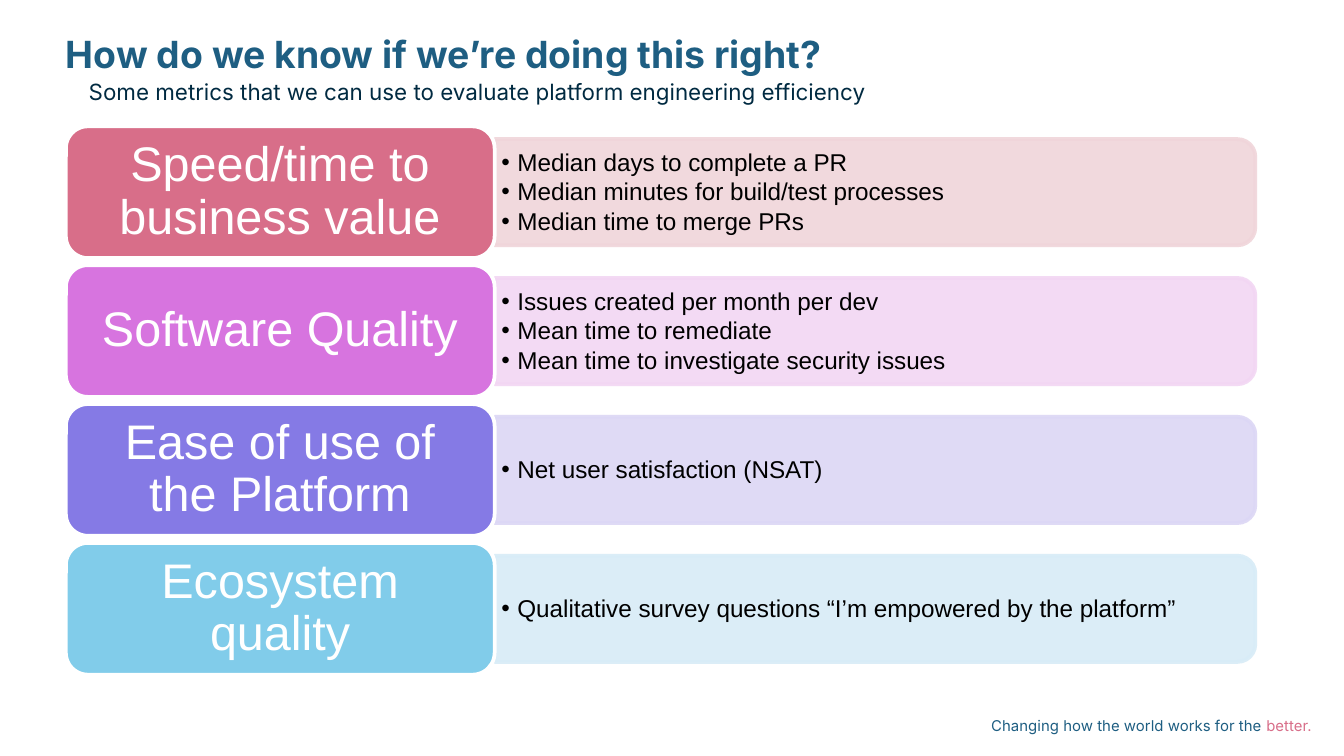
"""Build a slide of four platform engineering measures with their metrics."""
from lxml.etree import SubElement as Sub
from pptx import Presentation as Deck
from pptx.dml.color import RGBColor as Rgb
from pptx.enum.shapes import MSO_SHAPE as Form
from pptx.enum.text import MSO_ANCHOR as Anchor, MSO_AUTO_SIZE as Auto, PP_ALIGN as Align
from pptx.oxml.ns import qn
from pptx.util import Inches, Pt

TITLE = "How do we know if we’re doing this right?"
LEAD = "Some metrics that we can use to evaluate platform engineering efficiency"
MOTTO = [("Changing how the world works for the ", "blue"), ("better.", "rose")]
ROWS = [
    ("Speed/time to business value", "rose", "blush",
     ["Median days to complete a PR", "Median minutes for build/test processes",
      "Median time to merge PRs"]),
    ("Software Quality", "orchid", "pink",
     ["Issues created per month per dev", "Mean time to remediate",
      "Mean time to investigate security issues"]),
    ("Ease of use of the Platform", "violet", "lilac",
     ["Net user satisfaction (NSAT)"]),
    ("Ecosystem quality", "sky", "ice",
     ["Qualitative survey questions “I’m empowered by the platform”"]),
]
COLORS = {
    "blue": "1E5E82", "navy": "002A41", "black": "000000", "white": "FFFFFF",
    "rose": "D86E89", "orchid": "D774DF", "violet": "857AE5", "sky": "81CCEA",
    "blush": "F0D5DA", "pink": "F2D6F3", "lilac": "DCD7F5", "ice": "D8ECF7",
}
FONTS = {
    "title": {"name": "Inter", "size": Pt(20), "bold": True},
    "lead": {"name": "Inter", "size": Pt(12), "bold": False},
    "motto": {"name": "Inter", "size": Pt(8)},
    "label": {"name": "Arial", "size": Pt(26)},
    "list": {"name": "Arial", "size": Pt(13)},
}
LEFT, TOP, LAST = 0.49, 0.94, 4.04
STEP = (LAST - TOP) / (len(ROWS) - 1)
WIDE, HIGH = 3.19, 0.98
SPAN, DEEP = 5.66, 0.79


def apply(item, values):
    for name, value in values.items():
        setattr(item, name, value)


def rgb(name):
    return Rgb.from_string(COLORS[name])


def place(shape, *box):
    apply(shape, dict(zip(("left", "top", "width", "height"), map(Inches, box))))


def frame(shape, side=0, edge=0, anchor=Anchor.TOP):
    text = shape.text_frame
    apply(text, {"word_wrap": True, "auto_size": Auto.NONE, "vertical_anchor": anchor,
                 "margin_left": Inches(side), "margin_right": Inches(side),
                 "margin_top": Inches(edge), "margin_bottom": Inches(edge)})
    return text


def write(para, runs, font, align=Align.LEFT, after=0, space=0.9):
    apply(para, {"alignment": align, "line_spacing": space,
                 "space_before": Pt(0), "space_after": Pt(after)})
    for words, color in runs:
        run = para.add_run()
        run.text = words
        apply(run.font, FONTS[font])
        run.font.color.rgb = rgb(color)


def indent(para, left, first):
    props = para._p.get_or_add_pPr()
    props.set("marL", str(Inches(left)))
    props.set("indent", str(Inches(first)))
    return props


def block(form, box, fill, line):
    shape = slide.shapes.add_shape(form, *map(Inches, box))
    shape.shadow.inherit = False
    shape.fill.solid()
    shape.fill.fore_color.rgb = rgb(fill)
    shape.line.color.rgb = rgb(line)
    shape.line.width = Pt(2)
    return shape


def panel(mid, color):
    left = LEFT + WIDE + (SPAN - DEEP) / 2
    shape = block(Form.ROUND_2_SAME_RECTANGLE, (left, mid - SPAN / 2, DEEP, SPAN), color, color)
    shape.rotation = 90
    for tone in shape._element.spPr.iter(qn("a:srgbClr")):
        Sub(tone, qn("a:alpha"), val="90000")


def bullets(mid, items):
    box = (LEFT + WIDE, mid - 0.35, 5.62, 0.71)
    text = frame(slide.shapes.add_textbox(*map(Inches, box)), 0.05, 0.03, Anchor.MIDDLE)
    for spot, item in enumerate(items):
        para = text.add_paragraph() if spot else text.paragraphs[0]
        props = indent(para, 0.12, -0.12)
        Sub(props, qn("a:buFont"), typeface="Arial")
        Sub(props, qn("a:buChar"), char="•")
        write(para, [(item, "black")], "list", after=1.7)


def label(top, words, color):
    shape = block(Form.ROUNDED_RECTANGLE, (LEFT, top, WIDE, HIGH), color, "white")
    para = frame(shape, 0.16, 0.1, Anchor.MIDDLE).paragraphs[0]
    write(para, [(words, "white")], "label", Align.CENTER)


deck = Deck()
apply(deck, {"slide_width": Inches(10), "slide_height": Inches(10) * 9 // 16})
slide = deck.slides.add_slide(deck.slide_layouts[0])

title, lead = slide.placeholders
place(title, LEFT, 0.27, 8.12, 0.33)
write(frame(title).paragraphs[0], [(TITLE, "blue")], "title")
place(lead, LEFT, 0.6, 7.86, 0.24)
para = frame(lead).paragraphs[0]
indent(para, 0.5, -0.33)
write(para, [(LEAD, "navy")], "lead")

for row, (words, color, tint, items) in enumerate(ROWS):
    top = TOP + row * STEP
    mid = top + HIGH / 2
    panel(mid, tint)
    bullets(mid, items)
    label(top, words, color)

motto = slide.shapes.add_textbox(*map(Inches, (7.11, 5.33, 2.65, 0.11)))
write(frame(motto).paragraphs[0], MOTTO, "motto", Align.RIGHT, space=1.0)

deck.save("out.pptx")
